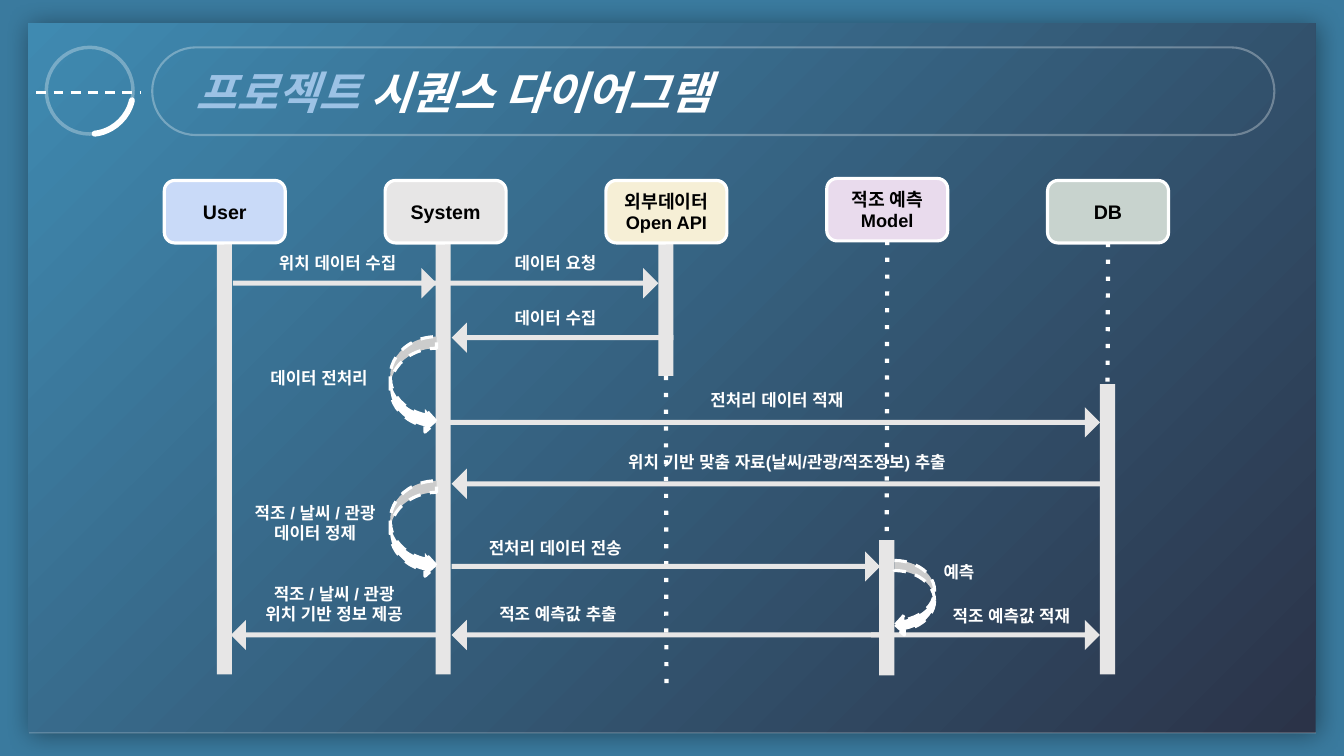
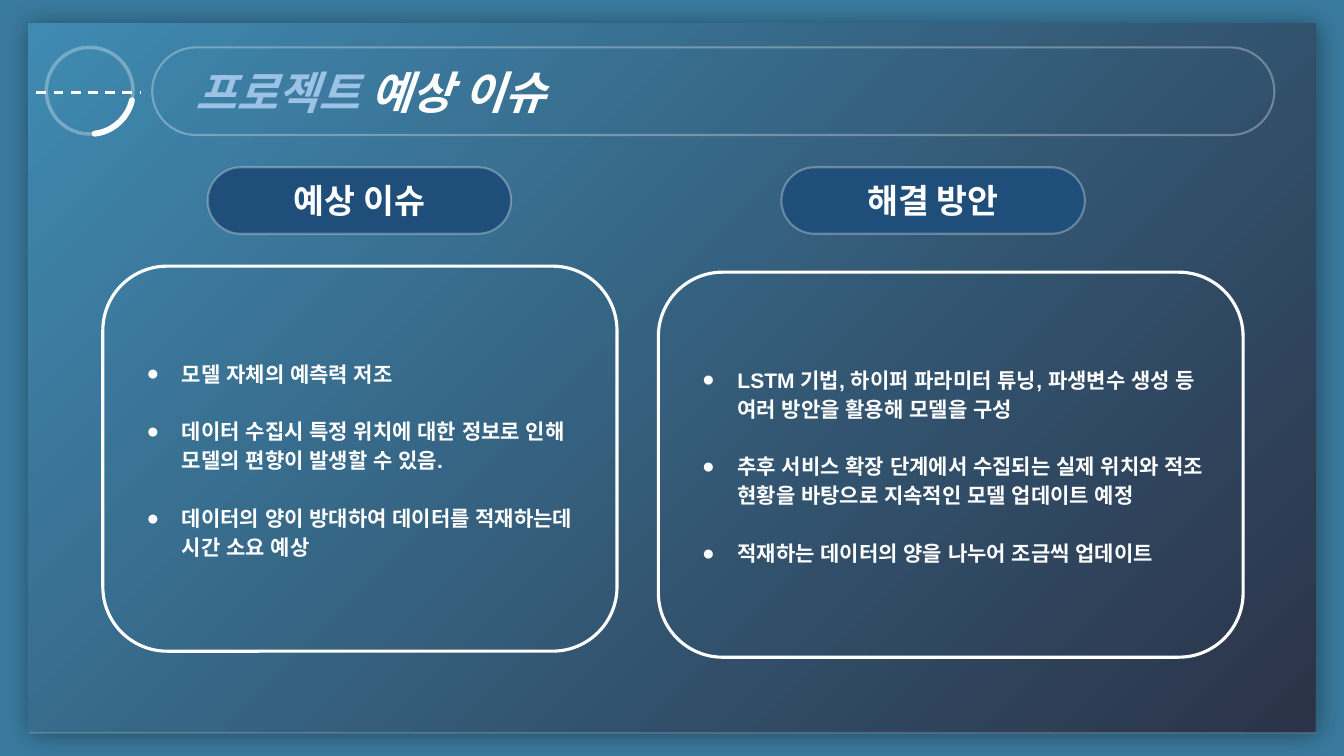
"""Build two project slides: a sequence diagram and the expected issues."""
from dataclasses import dataclass
from typing import Any, Optional

from lxml import etree as et
from pptx import Presentation
from pptx import util as u
from pptx.dml import color as c
from pptx.enum import shapes, text
from pptx.oxml import ns

SHAPE = shapes.MSO_SHAPE
CENTER = text.PP_ALIGN.CENTER
LEFT = text.PP_ALIGN.LEFT


@dataclass(frozen=True)
class Theme:
    """Colours, fonts and type sizes."""
    backdrop: str = "3A7A9E"
    panel_light: str = "3F8AB1"
    panel_dark: str = "2B3348"
    white: str = "FFFFFF"
    black: str = "000000"
    accent: str = "9CC2E5"
    bar: str = "E7E6E6"
    pill: str = "1E4E79"
    display: str = "Noto Sans CJK KR"
    body: str = "Arial"
    title: float = 32
    heading: float = 24
    bullet: float = 15
    head: float = 14
    small_head: float = 13
    label: float = 12


T = Theme()


@dataclass(frozen=True)
class Box:
    """A rectangle in inches."""
    x: float
    y: float
    w: float
    h: float

    def emu(self) -> tuple[int, ...]:
        """Return the rectangle as lengths."""
        return tuple(u.Inches(v) for v in (self.x, self.y, self.w, self.h))


@dataclass(frozen=True)
class Lifeline:
    """A participant with its activation bar."""
    lines: tuple[str, ...]
    fill: str
    size: float
    top: float
    bar_left: float
    bar_top: float
    bar_height: float


@dataclass(frozen=True)
class Message:
    """A block arrow between two lifelines."""
    left: float
    right: float
    top: float
    back: bool = False


@dataclass(frozen=True)
class Label:
    """A caption in the diagram."""
    words: str
    box: Box
    align: Any = CENTER


@dataclass(frozen=True)
class Column:
    """A heading pill above a framed list."""
    heading: str
    pill_left: float
    frame: Box
    items: tuple[str, ...]


LIFELINES = (
    Lifeline(("User",), "C9DAF8", T.head, 1.79, 2.15, 2.41, 4.28),
    Lifeline(("System",), T.bar, T.head, 1.79, 4.32, 2.41, 4.28),
    Lifeline(("외부데이터", "Open API"), "F6EFD6", T.small_head, 1.79, 6.53, 2.39, 1.34),
    Lifeline(("적조 예측 Model",), "E9DBED", T.small_head, 1.77, 8.72, 5.36, 1.34),
    Lifeline(("DB",), "C8D3CE", T.head, 1.79, 10.91, 3.81, 2.88),
)
MESSAGES = (
    Message(2.31, 4.33, 2.66),
    Message(4.26, 6.53, 2.66),
    Message(4.48, 6.68, 3.2, True),
    Message(4.33, 10.91, 4.04),
    Message(4.48, 11.02, 4.65, True),
    Message(4.48, 8.73, 5.47),
    Message(2.29, 4.33, 6.15, True),
    Message(4.48, 8.73, 6.15, True),
    Message(8.64, 10.91, 6.15),
)
LOOPS = (
    (SHAPE.CURVED_RIGHT_ARROW, Box(3.87, 3.34, 0.46, 0.96)),
    (SHAPE.CURVED_RIGHT_ARROW, Box(3.87, 4.77, 0.46, 0.96)),
    (SHAPE.CURVED_LEFT_ARROW, Box(8.87, 5.56, 0.4, 0.75)),
)
LABELS = (
    Label("위치 데이터 수집", Box(2.6, 2.41, 1.5, 0.4)),
    Label("데이터 요청", Box(4.76, 2.41, 1.5, 0.4)),
    Label("데이터 수집", Box(4.76, 2.95, 1.5, 0.4)),
    Label("데이터 전처리", Box(2.5, 3.55, 1.33, 0.4)),
    Label("전처리 데이터 적재", Box(6.84, 3.77, 1.73, 0.4)),
    Label("위치 기반 맞춤 자료(날씨/관광/적조정보) 추출", Box(5.38, 4.38, 4.85, 0.4)),
    Label("적조 / 날씨 / 관광 데이터 정제", Box(2.3, 4.89, 1.65, 0.61)),
    Label("전처리 데이터 전송", Box(4.75, 5.23, 1.73, 0.4), LEFT),
    Label("예측", Box(9.26, 5.47, 0.73, 0.4), LEFT),
    Label("적조 / 날씨 / 관광 위치 기반 정보 제공", Box(2.45, 5.69, 1.73, 0.61)),
    Label("적조 예측값 추출", Box(4.71, 5.89, 1.65, 0.4)),
    Label("적조 예측값 적재", Box(9.35, 5.91, 1.73, 0.4), LEFT),
)
COLUMNS = (
    Column("예상 이슈", 2.06, Box(1.02, 2.64, 5.1, 3.82), (
        "모델 자체의 예측력 저조",
        "데이터 수집시 특정 위치에 대한 정보로 인해 모델의 편향이 발생할 수 있음.",
        "데이터의 양이 방대하여 데이터를 적재하는데 시간 소요 예상",
    )),
    Column("해결 방안", 7.75, Box(6.53, 2.7, 5.8, 3.82), (
        "LSTM 기법, 하이퍼 파라미터 튜닝, 파생변수 생성 등 여러 방안을 활용해 모델을 구성",
        "추후 서비스 확장 단계에서 수집되는 실제 위치와 적조 현황을 바탕으로 지속적인 모델 업데이트 예정",
        "적재하는 데이터의 양을 나누어 조금씩 업데이트",
    )),
)


def rgb(code: str) -> c.RGBColor:
    """Turn a hex code into a colour."""
    return c.RGBColor.from_string(code)


def add(parent: Any, tag: str, **attrs: str) -> Any:
    """Append a drawing element."""
    return et.SubElement(parent, ns.qn(tag), attrs)


def stroke(sp: Any, width: float, alpha: int = 100, dash: str = "") -> None:
    """Give a shape or connector a white line."""
    sp.line.width = u.Pt(width)
    sp.line.color.rgb = rgb(T.white)
    ln = sp.line._get_or_add_ln()
    if alpha < 100:
        add(ln.find(".//" + ns.qn("a:srgbClr")), "a:alpha", val=str(alpha * 1000))
    if dash:
        add(ln, "a:prstDash", val=dash)


def shape(parent: Any, kind: Any, box: Box, fill: str = "", width: float = 0,
          alpha: int = 100, dash: str = "", adj: tuple[float, ...] = ()) -> Any:
    """Draw a flat preset shape."""
    sp = parent.add_shape(kind, *box.emu())
    sp.shadow.inherit = False
    for i, value in enumerate(adj):
        sp.adjustments[i] = value
    if fill:
        sp.fill.solid()
        sp.fill.fore_color.rgb = rgb(fill)
    else:
        sp.fill.background()
    if width:
        stroke(sp, width, alpha, dash)
    else:
        sp.line.fill.background()
    return sp


def line(parent: Any, start: tuple[float, float], end: tuple[float, float],
         width: float, alpha: int = 100, dash: str = "") -> Any:
    """Draw a straight white connector."""
    points = (u.Inches(v) for v in (*start, *end))
    sp = parent.add_connector(shapes.MSO_CONNECTOR.STRAIGHT, *points)
    stroke(sp, width, alpha, dash)
    add(sp._element.spPr, "a:effectLst")
    return sp


def frame(sp: Any, pad: float, left: float = 0.1, anchor: Any = text.MSO_ANCHOR.MIDDLE) -> Any:
    """Prepare a wrapping text frame."""
    tf = sp.text_frame
    tf.word_wrap = True
    tf.vertical_anchor = anchor
    tf.margin_left, tf.margin_right = u.Inches(left), u.Inches(0.1)
    tf.margin_top = tf.margin_bottom = u.Inches(pad)
    return tf


def run(p: Any, words: str, size: float, color: str, font: str = T.body, italic: bool = False) -> None:
    """Add one bold run."""
    r = p.add_run()
    r.text = words
    r.font.size = u.Pt(size)
    r.font.bold = True
    r.font.italic = italic or None
    r.font.color.rgb = rgb(color)
    r.font.name = font
    add(r._r.rPr, "a:ea", typeface=font)


def paragraph(tf: Any, first: bool, align: Any = LEFT) -> Any:
    """Return the first paragraph or a new one."""
    p = tf.paragraphs[0] if first else tf.add_paragraph()
    p.alignment = align
    return p


def base(prs: Any, title: str) -> Any:
    """Add a slide with the shared panel, emblem and title."""
    s = prs.slides.add_slide(prs.slide_layouts[6])
    s.background.fill.solid()
    s.background.fill.fore_color.rgb = rgb(T.backdrop)
    sp = shape(s.shapes, SHAPE.RECTANGLE, Box(0.28, 0.23, 12.77, 7.04))
    sp.fill.gradient()
    for stop, color, position in zip(sp.fill.gradient_stops, (T.panel_light, T.panel_dark), (0, 1)):
        stop.color.rgb = rgb(color)
        stop.position = position
    grad = sp._element.spPr.find(ns.qn("a:gradFill"))
    grad.remove(grad.find(ns.qn("a:lin")))
    add(add(grad, "a:path", path="circle"), "a:fillToRect", r="100000", b="100000")
    shadow = add(sp._element.spPr.find(ns.qn("a:effectLst")), "a:outerShdw",
                 blurRad=str(u.Pt(18)), dist=str(u.Pt(3)), dir="2700000", algn="tl", rotWithShape="0")
    add(add(shadow, "a:srgbClr", val=T.black), "a:alpha", val="40000")

    sp = shape(s.shapes, SHAPE.ROUNDED_RECTANGLE, Box(1.51, 0.47, 11.13, 0.87), width=1.5, alpha=30, adj=(0.5,))
    p = paragraph(frame(sp, 0.05, left=0.3), True)
    run(p, "프로젝트 ", T.title, T.accent, T.display, True)
    run(p, title, T.title, T.white, T.display, True)
    line(s.shapes, (0.29, 7.27), (13.05, 7.27), 0.75, 30)

    emblem = s.shapes.add_group_shape().shapes
    ring = Box(0.46, 0.47, 0.86, 0.86)
    shape(emblem, SHAPE.OVAL, ring, width=2.5, alpha=30)
    arc = shape(emblem, SHAPE.ARC, ring, width=4.25, adj=(7.7, 50.05))
    arc.line._get_or_add_ln().set("cap", "rnd")
    line(emblem, (0.36, 0.92), (1.39, 0.92), 1.75, dash="dash")
    return s


def sequence_slide(prs: Any) -> None:
    """Draw the sequence diagram."""
    s = base(prs, "시퀀스 다이어그램")
    heads, bars = [], []
    for i, item in enumerate(LIFELINES):
        bars.append(shape(s.shapes, SHAPE.RECTANGLE,
                          Box(item.bar_left, item.bar_top, 0.15, item.bar_height), T.bar))
        sp = shape(s.shapes, SHAPE.ROUNDED_RECTANGLE, Box(1.63 + 2.19 * i, item.top, 1.2, 0.62),
                   item.fill, 2.25, adj=(0.167,))
        tf = frame(sp, 0.1)
        for n, words in enumerate(item.lines):
            run(paragraph(tf, n == 0, CENTER), words, item.size, T.black)
        heads.append(sp)
    line(s.shapes, (6.61, 3.73), (6.61, 6.89), 3, dash="dot").begin_connect(bars[2], 2)
    for head, bar in zip(heads[3:], bars[3:]):
        sp = line(s.shapes, (0, 0), (1, 1), 3, dash="dot")
        sp.begin_connect(head, 2)
        sp.end_connect(bar, 0)
    for m in MESSAGES:
        kind = SHAPE.LEFT_ARROW if m.back else SHAPE.RIGHT_ARROW
        shape(s.shapes, kind, Box(m.left, m.top, m.right - m.left, 0.3), T.bar, adj=(0.167, 0.5))
    for kind, box in LOOPS:
        shape(s.shapes, kind, box, T.white, 2.25, dash="dash")
    for label in LABELS:
        tf = frame(s.shapes.add_textbox(*label.box.emu()), 0.1, anchor=text.MSO_ANCHOR.TOP)
        tf.auto_size = text.MSO_AUTO_SIZE.SHAPE_TO_FIT_TEXT
        run(paragraph(tf, True, label.align), label.words, T.label, T.white)


def bullet(p: Any, gap: Optional[float]) -> None:
    """Set a white round bullet with a hanging indent."""
    pPr = p._p.get_or_add_pPr()
    pPr.set("marL", str(u.Inches(0.5)))
    pPr.set("indent", str(u.Inches(-0.35)))
    add(add(pPr, "a:buClr"), "a:srgbClr", val=T.white)
    add(pPr, "a:buFont", typeface=T.body)
    add(pPr, "a:buChar", char="●")
    p.line_spacing = 1.15
    if gap:
        p.space_before = u.Pt(gap)


def issues_slide(prs: Any) -> None:
    """Draw the issues and the remedies side by side."""
    s = base(prs, "예상 이슈")
    for col in COLUMNS:
        sp = shape(s.shapes, SHAPE.ROUNDED_RECTANGLE, Box(col.pill_left, 1.66, 3.01, 0.66),
                   T.pill, 1.5, 30, adj=(0.5,))
        run(paragraph(frame(sp, 0.05), True, CENTER), col.heading, T.heading, T.white, T.display)
        tf = frame(shape(s.shapes, SHAPE.ROUNDED_RECTANGLE, col.frame, width=2.25, adj=(0.167,)), 0.05)
        for i, words in enumerate(col.items):
            p = paragraph(tf, i == 0)
            bullet(p, 20.7 if i else None)
            run(p, words, T.bullet, T.white)


def main() -> None:
    """Build and save the presentation."""
    prs = Presentation()
    prs.slide_width, prs.slide_height = u.Inches(13.33), u.Inches(7.5)
    sequence_slide(prs)
    issues_slide(prs)
    prs.save("out.pptx")


if __name__ == "__main__":
    main()
